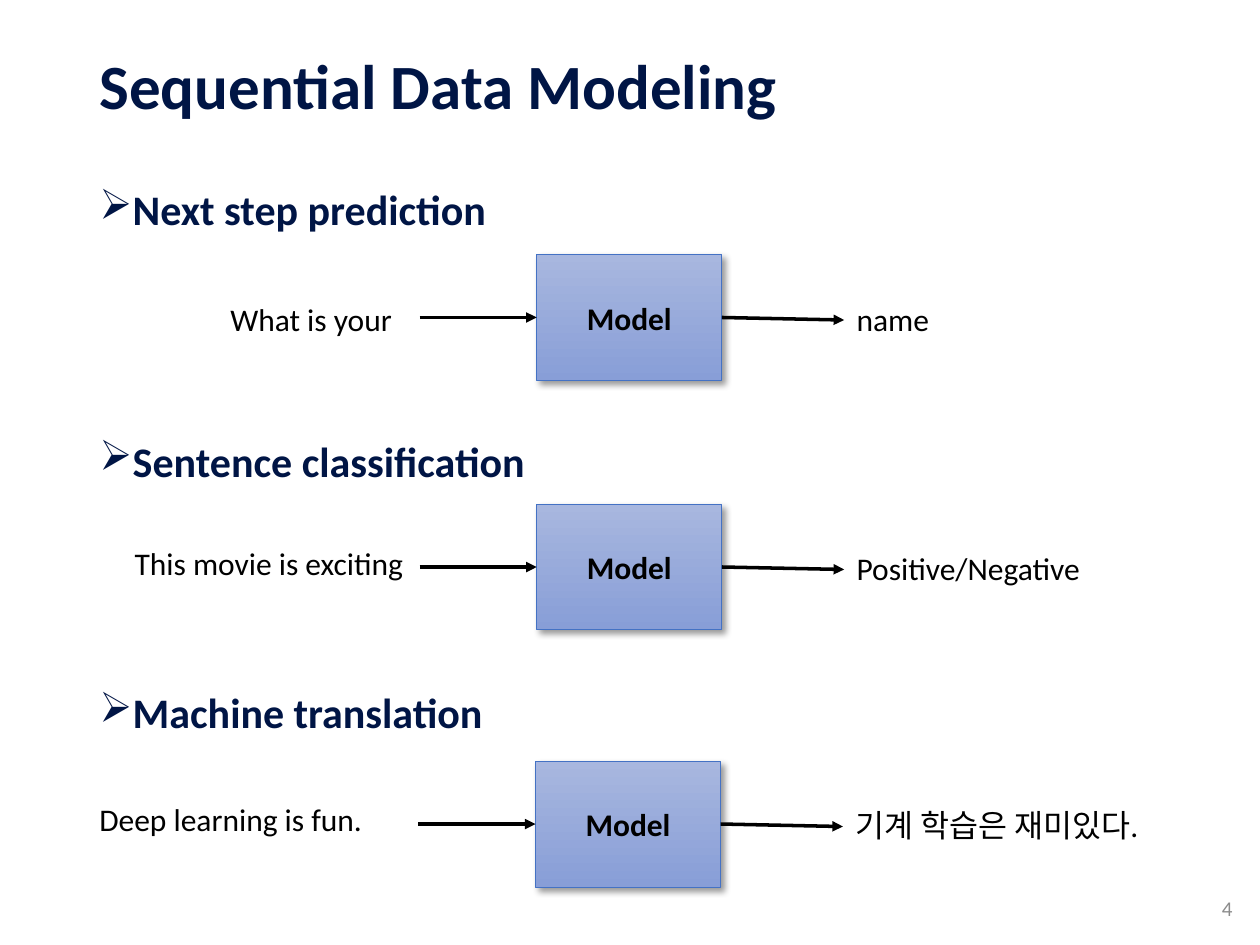
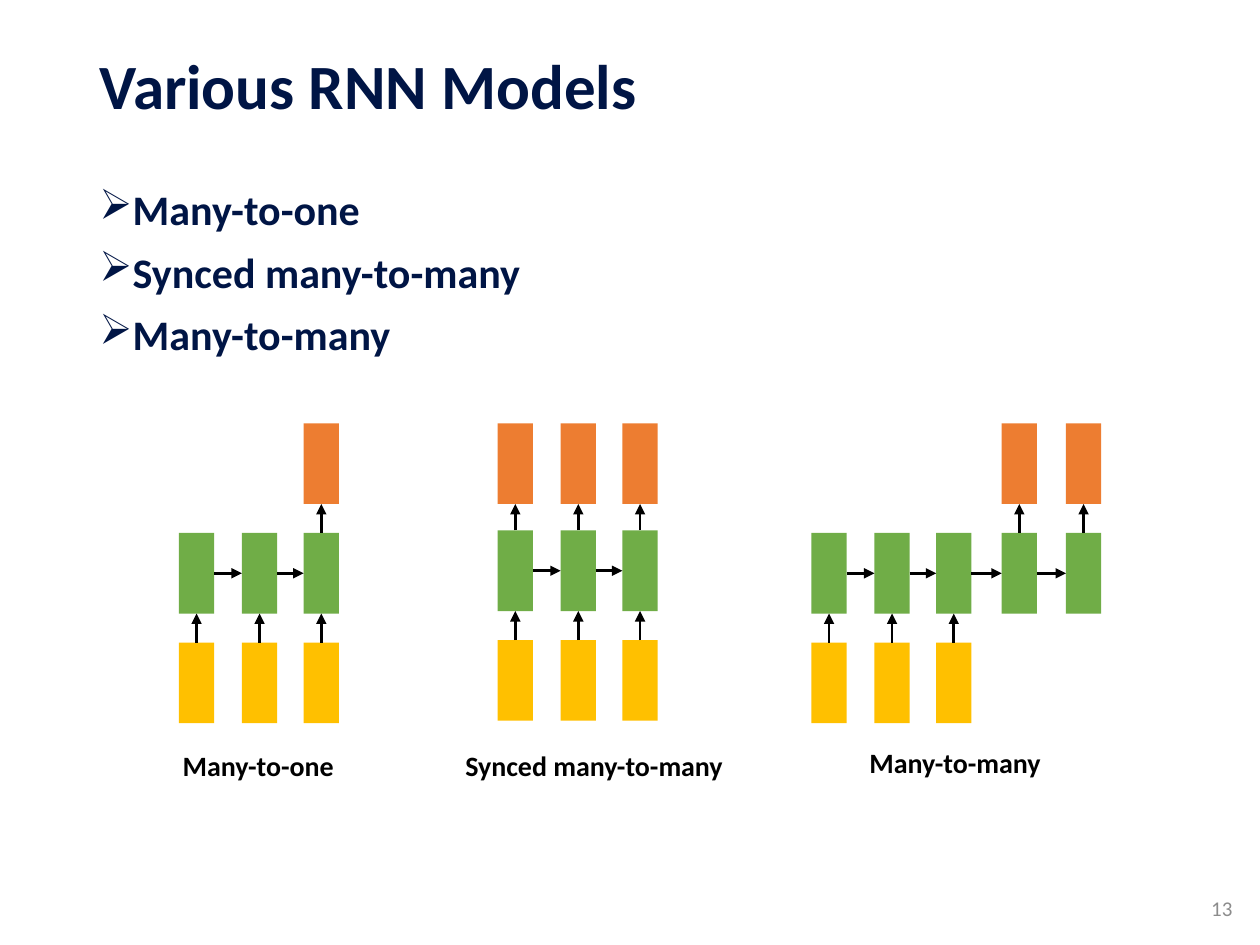
from dataclasses import dataclass

from lxml import etree
from pptx import Presentation
from pptx.dml.color import RGBColor
from pptx.enum.shapes import MSO_CONNECTOR, MSO_SHAPE
from pptx.enum.text import MSO_ANCHOR, PP_ALIGN
from pptx.oxml.ns import qn
from pptx.util import Inches, Pt

RECT = MSO_SHAPE.RECTANGLE
STRAIGHT = MSO_CONNECTOR.STRAIGHT
LEFT, CENTER, RIGHT = PP_ALIGN.LEFT, PP_ALIGN.CENTER, PP_ALIGN.RIGHT
TOP, MIDDLE = MSO_ANCHOR.TOP, MSO_ANCHOR.MIDDLE

FONT = "Calibri"
NAVY = RGBColor(0x00, 0x15, 0x45)
BLACK = RGBColor(0x00, 0x00, 0x00)
GRAY = RGBColor(0x8C, 0x8C, 0x8C)
BLUE = RGBColor(0x44, 0x72, 0xC4)
BLUE_LIGHT = RGBColor(0xA8, 0xB7, 0xDF)
BLUE_DARK = RGBColor(0x88, 0x9E, 0xD7)
GREEN = RGBColor(0x70, 0xAD, 0x47)
YELLOW = RGBColor(0xFF, 0xC0, 0x00)
ORANGE = RGBColor(0xED, 0x7D, 0x31)

# Model boxes
MODEL_W, MODEL_H = 1.47, 1.0
ARROW_IN, ARROW_OUT = 0.93, 0.97

# Network cells
CELL_W, CELL_H = 0.28, 0.64
CELL_STEPS = (0, 0.5, 0.99, 1.51, 2.02)
INPUT_DROP = 0.87
OUTPUT_TOP = 3.36


@dataclass
class Task:
    """A model with its input on the left and its output on the right."""
    source: str
    target: str
    source_x: float
    source_y: float
    model_x: float
    model_y: float


@dataclass
class Network:
    """A chain of hidden cells; inputs and outputs list the linked steps."""
    name: str
    left: float
    top: float
    steps: int
    inputs: tuple[int, ...]
    outputs: tuple[int, ...]
    label_x: float
    label_y: float
    label_w: float


TASKS = (
    Task("What is your", "name", 1.73, 2.33, 4.26, 2.02),
    Task("This movie is exciting", "Positive/Negative", 0.97, 4.27, 4.26, 4.0),
    Task("Deep learning is fun.", "기계 학습은 재미있다.", 0.69, 6.3, 4.25, 6.04),
)

NETWORKS = (
    Network("Many-to-one", 1.42, 4.23, 3, (0, 1, 2), (2,), 1.22, 5.89, 1.66),
    Network("Synced many-to-many", 3.95, 4.21, 3, (0, 1, 2), (0, 1, 2),
            3.49, 5.89, 2.45),
    Network("Many-to-many", 6.44, 4.23, 5, (0, 1, 2), (3, 4), 6.75, 5.87, 1.66),
)


# Shared drawing functions
def add_run(p, text: str, *, size: float, color=BLACK, bold=False) -> None:
    r = p.add_run()
    r.text = text
    r.font.name, r.font.size = FONT, Pt(size)
    r.font.bold, r.font.color.rgb = bold, color


def add_text(slide, text: str, x: float, y: float, w: float, h: float, *,
             size: float, color=BLACK, bold=False, align=LEFT, anchor=TOP,
             wrap=True, line_spacing=None):
    sp = slide.shapes.add_textbox(Inches(x), Inches(y), Inches(w), Inches(h))
    tf = sp.text_frame
    tf.word_wrap, tf.vertical_anchor = wrap, anchor
    p = tf.paragraphs[0]
    p.alignment, p.line_spacing = align, line_spacing
    add_run(p, text, size=size, color=color, bold=bold)


def add_bullets(slide, items: list[str], gap: float) -> None:
    sp = slide.shapes.add_textbox(Inches(0.69), Inches(1.45),
                                  Inches(8.62), Inches(5.45))
    tf = sp.text_frame
    tf.word_wrap = True
    for i, item in enumerate(items):
        p = tf.add_paragraph() if i else tf.paragraphs[0]
        p.line_spacing = 0.9
        p.space_before = Pt(gap if i else 10)
        pPr = p._p.get_or_add_pPr()
        pPr.set("marL", str(Inches(0.25)))
        pPr.set("indent", str(-Inches(0.25)))
        etree.SubElement(pPr, qn("a:buChar"), char="➢")
        add_run(p, item, size=24, color=NAVY, bold=True)


def add_arrow(shapes, x1: float, y1: float, x2: float, y2: float,
              width: float) -> None:
    line = shapes.add_connector(STRAIGHT, Inches(x1), Inches(y1),
                                Inches(x2), Inches(y2))
    line.line.color.rgb, line.line.width = BLACK, Pt(width)
    etree.SubElement(line.line._get_or_add_ln(), qn("a:tailEnd"), type="triangle")
    etree.SubElement(line._element.spPr, qn("a:effectLst"))


def add_box(shapes, x: float, y: float, w: float, h: float):
    sp = shapes.add_shape(RECT, Inches(x), Inches(y), Inches(w), Inches(h))
    sp.shadow.inherit = False
    return sp


def add_slide(prs, title: str, number: int):
    slide = prs.slides.add_slide(prs.slide_layouts[6])
    add_text(slide, title, 0.69, 0.2, 8.62, 1.02, size=36, color=NAVY,
             bold=True, anchor=MIDDLE, line_spacing=0.9)
    add_text(slide, str(number), 9.36, 7.01, 0.52, 0.4, size=12, color=GRAY,
             align=RIGHT, anchor=MIDDLE)
    return slide


# Model diagrams
def add_shadow(sp) -> None:
    effects = sp._element.spPr.find(qn("a:effectLst"))
    shadow = etree.SubElement(effects, qn("a:outerShdw"), blurRad=str(Pt(4)),
                              dist=str(Pt(3)), dir=str(45 * 60000),
                              algn="tl", rotWithShape="0")
    color = etree.SubElement(shadow, qn("a:srgbClr"), val=str(BLACK))
    etree.SubElement(color, qn("a:alpha"), val="40000")


def draw_task(slide, task: Task) -> None:
    x, y = task.model_x, task.model_y
    sp = add_box(slide.shapes, x, y, MODEL_W, MODEL_H)
    sp.fill.gradient()
    sp.fill.gradient_angle = 270
    for stop, color in zip(sp.fill.gradient_stops, (BLUE_LIGHT, BLUE_DARK)):
        stop.color.rgb = color
    sp.line.color.rgb, sp.line.width = BLUE, Pt(0.5)
    add_shadow(sp)
    tf = sp.text_frame
    tf.vertical_anchor = MIDDLE
    tf.paragraphs[0].alignment = CENTER
    add_run(tf.paragraphs[0], "Model", size=18, bold=True)

    right, mid = x + MODEL_W, y + MODEL_H / 2
    end = right + ARROW_OUT
    add_text(slide, task.source, task.source_x, task.source_y, 2.4, 0.4,
             size=18, wrap=False)
    add_text(slide, task.target, end, y + 0.31, 2.65, 0.4, size=18, wrap=False)
    add_arrow(slide.shapes, x - ARROW_IN, mid, x, mid, 2)
    add_arrow(slide.shapes, right, mid, end, mid + 0.02, 2)


# Network diagrams
def draw_network(slide, net: Network) -> None:
    shapes = slide.shapes.add_group_shape().shapes
    xs = [net.left + step for step in CELL_STEPS[:net.steps]]
    input_top = net.top + INPUT_DROP
    rows = ((range(net.steps), net.top, GREEN),
            (net.inputs, input_top, YELLOW),
            (net.outputs, OUTPUT_TOP, ORANGE))
    for steps, top, color in rows:
        for i in steps:
            sp = add_box(shapes, xs[i], top, CELL_W, CELL_H)
            sp.fill.solid()
            sp.fill.fore_color.rgb = color
            sp.line.fill.background()

    mid = net.top + CELL_H / 2
    for x, following in zip(xs, xs[1:]):
        add_arrow(shapes, x + CELL_W, mid, following, mid, 1.5)
    links = ((net.inputs, input_top, net.top + CELL_H),
             (net.outputs, net.top, OUTPUT_TOP + CELL_H))
    for steps, start, end in links:
        for i in steps:
            center = xs[i] + CELL_W / 2
            add_arrow(shapes, center, start, center, end, 1.5)

    add_text(slide, net.name, net.label_x, net.label_y, net.label_w, 0.37,
             size=16, bold=True, align=CENTER)


prs = Presentation()
prs.slide_width, prs.slide_height = Inches(10), Inches(7.5)

# Slide 1: tasks, with room for a diagram under each heading
slide = add_slide(prs, "Sequential Data Modeling", 4)
add_bullets(slide, ["Next step prediction", "Sentence classification",
                    "Machine translation"], gap=118)
for task in TASKS:
    draw_task(slide, task)

# Slide 2: network variants
slide = add_slide(prs, "Various RNN Models", 13)
add_bullets(slide, [net.name for net in NETWORKS], gap=10)
for net in NETWORKS:
    draw_network(slide, net)

prs.save("out.pptx")
